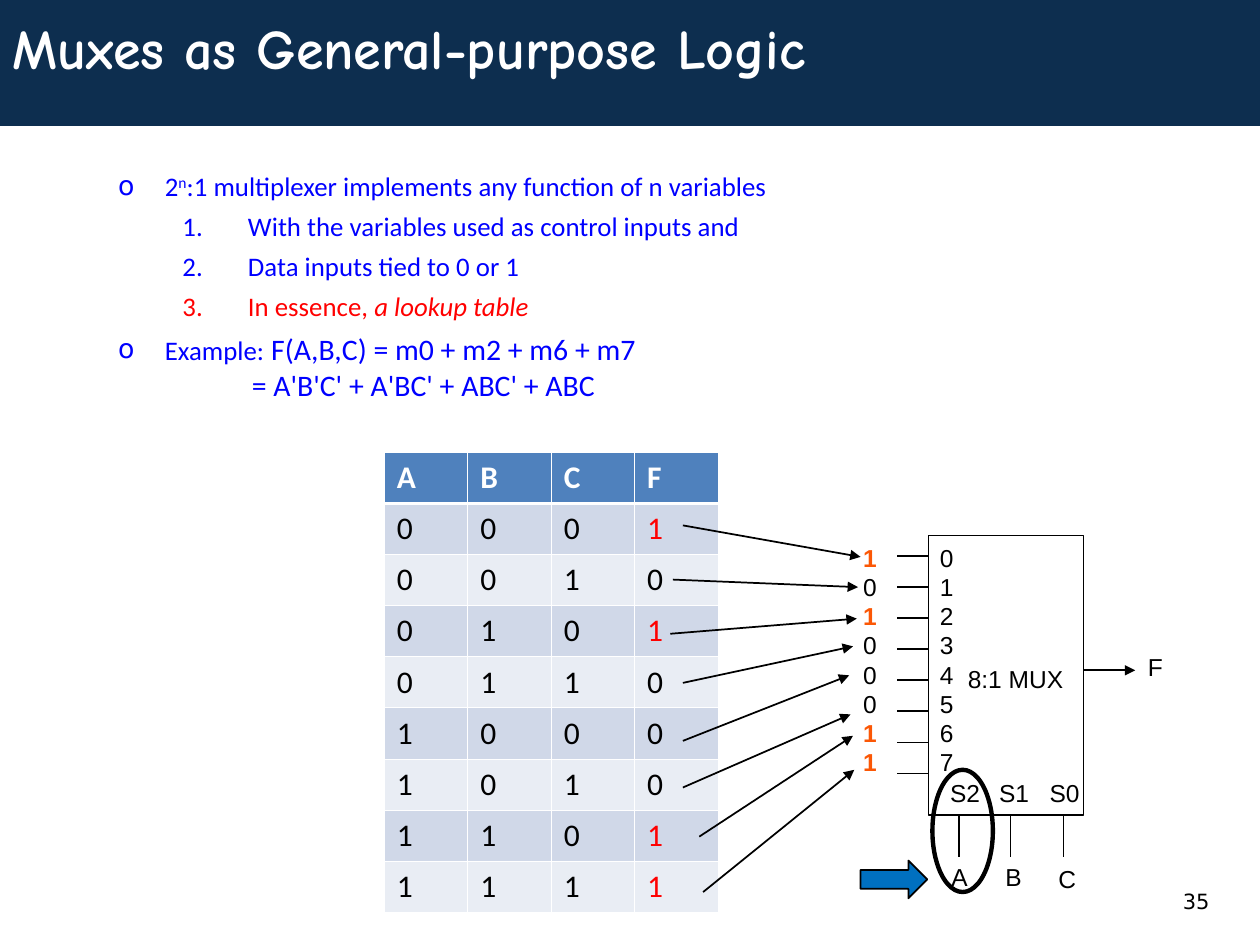
from lxml import etree
from pptx import Presentation, util as u
from pptx.dml.color import RGBColor
from pptx.enum import shapes as kinds, text as t
from pptx.oxml.ns import qn

BLACK, WHITE, BLUE, RED, ORANGE = "000000", "FFFFFF", "0000FF", "FF0000", "FB5705"
KIND = kinds.MSO_SHAPE


def color(code):
    """Turn a hex string into a colour."""
    return RGBColor.from_string(code)


def inches(*sizes):
    """Turn numbers into inch lengths."""
    return [u.Inches(size) for size in sizes]


def child(parent, tag, **attrs):
    """Append one drawing element."""
    return etree.SubElement(parent, qn("a:" + tag), attrs)


def write(para, words, size=14, face="Arial", ink=BLACK, bold=False, italic=False, base=None):
    """Add a run, with a line break for each newline."""
    for row, part in enumerate(words.split("\n")):
        if row:
            para.add_line_break()
        if not part:
            continue
        run = para.add_run()
        run.text = part
        font = run.font
        font.size, font.name = u.Pt(size), face
        font.bold, font.italic = bold, italic
        font.color.rgb = color(ink)
        if base:
            font._element.set("baseline", base)


def label(slide, box, parts, align=t.PP_ALIGN.LEFT):
    """Place diagram text with fixed line spacing."""
    frame = slide.shapes.add_textbox(*inches(*box)).text_frame
    frame.word_wrap = False
    frame.margin_left = frame.margin_right = u.Inches(0.02)
    frame.margin_top = frame.margin_bottom = u.Inches(0.03)
    para = frame.paragraphs[0]
    para.line_spacing, para.alignment = u.Pt(16.7), align
    for words, ink, bold in parts:
        write(para, words, ink=ink, bold=bold)


def shape(slide, kind, box, fill=None, width=None):
    """Draw a preset shape with an optional fill and outline."""
    item = slide.shapes.add_shape(kind, *inches(*box))
    item.shadow.inherit = False
    if fill:
        item.fill.solid()
        item.fill.fore_color.rgb = color(fill)
    else:
        item.fill.background()
    if width:
        item.line.color.rgb = color(BLACK)
        item.line.width = u.Pt(width)
    else:
        item.line.fill.background()


def wire(slide, start, end, arrow=False):
    """Draw a thin line, with an arrowhead on request."""
    line = slide.shapes.add_connector(kinds.MSO_CONNECTOR.STRAIGHT, *inches(*start, *end))
    line.line.color.rgb = color(BLACK)
    line.line.width = u.Pt(1)
    if arrow:
        child(line.line._get_or_add_ln(), "tailEnd", type="triangle")
    child(line._element.spPr, "effectLst")


def bullet(para, left, hang, mark, ink):
    """Set a paragraph's indent and its bullet or number."""
    props = para._p.get_or_add_pPr()
    props.set("marL", str(u.Inches(left)))
    props.set("indent", str(-u.Inches(hang)))
    if not mark:
        child(props, "buNone")
        return
    child(child(props, "buClr"), "srgbClr", val=ink)
    if mark == "1.":
        child(props, "buFont", typeface="Calibri")
        child(props, "buAutoNum", type="arabicPeriod")
    else:
        child(props, "buFont", typeface="DejaVu Sans")
        child(props, "buChar", char=mark)


def body(slide):
    """Write the bulleted and numbered points."""
    top, sub, cont = (0.37, 0.37, "o"), (1.03, 0.52, "1."), (1.06, 0, None)
    points = [
        (top, 0, BLUE, [("2", {}), ("n", {"base": "30000"}),
                        (":1 multiplexer implements any function of n variables", {})]),
        (sub, 4.5, BLUE, [("With the variables used as control inputs and", {})]),
        (sub, 4.5, BLUE, [("Data inputs tied to 0 or 1", {})]),
        (sub, 4.5, RED, [("In essence, ", {}), ("a lookup table", {"italic": True})]),
        (top, 5, BLUE, [("Example:", {}), (" F(A,B,C) = m0 + m2 + m6 + m7", {"size": 17})]),
        (cont, 0, BLUE, [("= A'B'C' + A'BC' + ABC' + ABC", {"size": 17})]),
    ]
    frame = slide.shapes.add_textbox(*inches(0.84, 1.3, 8, 2.25)).text_frame
    frame.word_wrap = True
    for row, (level, gap, ink, parts) in enumerate(points):
        para = frame.add_paragraph() if row else frame.paragraphs[0]
        para.space_before = u.Pt(gap)
        bullet(para, *level, ink)
        for words, style in parts:
            write(para, words, **{"size": 15.3, "face": "Calibri", "ink": ink, **style})


def border(cell, row):
    """Give a cell white edges, thicker under the header."""
    props = cell._tc.get_or_add_tcPr()
    thick = {0: "lnB", 1: "lnT"}.get(row)
    for tag in ("lnL", "lnR", "lnT", "lnB"):
        width = u.Pt(1.47 if tag == thick else 0.45)
        child(child(child(props, tag, w=str(width)), "solidFill"), "srgbClr", val=WHITE)


def truth(slide, outs):
    """Build the truth table of three inputs and F."""
    rows = ["ABCF"] + [f"{n:03b}{out}" for n, out in enumerate(outs)]
    table = slide.shapes.add_table(len(rows), 4, *inches(3.05, 3.59, 2.65, 3.65)).table
    for col in table.columns:
        col.width = u.Inches(2.65 / 4)
    for r, words in enumerate(rows):
        table.rows[r].height = u.Inches(3.65 / len(rows))
        fill = ("E9EDF4", "D0D8E8")[r % 2] if r else "4F81BD"
        for c, word in enumerate(words):
            cell = table.cell(r, c)
            border(cell, r)
            cell.fill.solid()
            cell.fill.fore_color.rgb = color(fill)
            ink = WHITE if r == 0 else RED if c == 3 and word == "1" else BLACK
            write(cell.text_frame.paragraphs[0], word, 18, "Calibri", ink, r == 0)


def mux(slide, outs):
    """Draw the multiplexer with its inputs, selects and output."""
    last = len(outs) - 1
    ends = ["\n" if n < last else "" for n in range(len(outs))]
    label(slide, (6.83, 4.28, 0.2, 2.27),
          [(out + end, ORANGE if out == "1" else BLACK, out == "1") for out, end in zip(outs, ends)])
    label(slide, (7.44, 4.28, 0.18, 2.27), [("\n".join("01234567"), BLACK, False)])
    label(slide, (7.45, 5.24, 1.22, 0.65), [("8:1 MUX", BLACK, False)], t.PP_ALIGN.CENTER)
    for words, x, y in [("S2", 7.52, 6.15), ("S1", 7.91, 6.15), ("S0", 8.31, 6.15),
                        ("A", 7.53, 6.81), ("B", 7.96, 6.81), ("C", 8.38, 6.83), ("F", 9.09, 5.15)]:
        label(slide, (x, y, 0.4, 0.3), [(words, BLACK, False)])
    shape(slide, KIND.RECTANGLE, (7.37, 4.25, 1.23, 2.22), width=1)
    wire(slide, (8.6, 5.32), (9.01, 5.32), True)
    for n in range(len(outs)):
        y = 4.41 + n * 1.73 / last
        wire(slide, (7.37, y), (7.12, y))
    for x in (7.61, 8.02, 8.44):
        wire(slide, (x, 6.47), (x, 6.8))


def main():
    """Build and save the slide."""
    deck = Presentation()
    deck.slide_width, deck.slide_height = inches(10, 7.5)
    slide = deck.slides.add_slide(deck.slide_layouts[5])
    outs = "10100011"
    shape(slide, KIND.RECTANGLE, (0, 0, 10, 1), "0D2E4F")
    title = slide.shapes.title
    title.element.getparent().append(title.element)
    title.left, title.top, title.width, title.height = inches(0, 0, 9.99, 0.75)
    title.text_frame.vertical_anchor = t.MSO_ANCHOR.MIDDLE
    head = title.text_frame.paragraphs[0]
    head.alignment = t.PP_ALIGN.LEFT
    write(head, "Muxes as General-purpose Logic", 32, "Comic Neue", WHITE, True)
    page = slide.shapes.add_textbox(*inches(9.29, 7, 0.7, 0.5)).text_frame
    page.word_wrap = True
    write(page.paragraphs[0], "35", 12, "DejaVu Sans")
    mux(slide, outs)
    body(slide)
    shape(slide, KIND.RIGHT_ARROW, (6.83, 6.83, 0.53, 0.3), "0070C0", 1)
    truth(slide, outs)
    for start, end in [((5.42, 4.17), (6.83, 4.42)), ((5.34, 4.6), (6.81, 4.66)),
                       ((5.32, 5.03), (6.8, 4.91)), ((5.42, 5.42), (6.77, 5.13)),
                       ((5.42, 5.88), (6.74, 5.36)), ((5.42, 6.25), (6.75, 5.67)),
                       ((5.55, 6.64), (6.77, 5.84)), ((5.58, 7.08), (6.78, 6.11))]:
        wire(slide, start, end, True)
    shape(slide, KIND.OVAL, (7.4, 6.11, 0.48, 0.97), width=2.5)
    deck.save("out.pptx")


if __name__ == "__main__":
    main()
